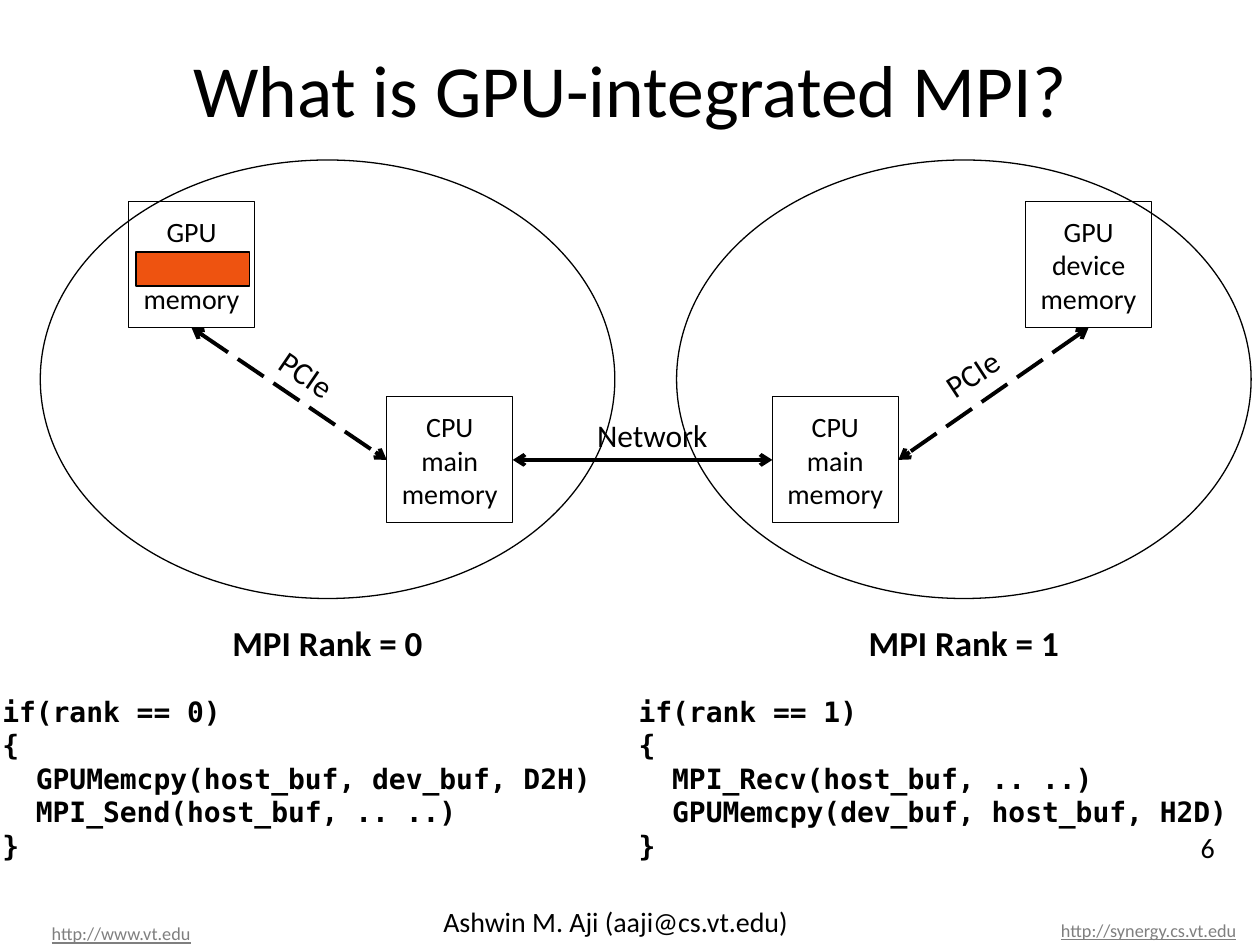
from dataclasses import dataclass

from lxml import etree
from pptx import Presentation
from pptx import util as u
from pptx.dml.color import RGBColor
from pptx.enum import dml, shapes, text
from pptx.oxml.ns import qn

TOP, LEFT, BOTTOM, RIGHT = range(4)
CENTER = text.PP_ALIGN.CENTER
MIDDLE = text.MSO_ANCHOR.MIDDLE


@dataclass(frozen=True)
class Theme:
    ink: str = "000000"
    link: str = "7F7F7F"
    buffer: str = "EE5310"
    body_font: str = "Calibri"
    code_font: str = "DejaVu Sans Mono"
    title_size: int = 42
    rank_size: int = 20
    label_size: int = 18
    body_size: int = 16
    outline: float = 0.75
    arrow: float = 2.25


class SlideBuilder:
    def __init__(self, slide, theme):
        self.slide = slide
        self.theme = theme

    def add_lines(self, shape, lines, size, font=None, color=None, bold=False, align=None):
        """Fill a shape with one paragraph per line and return the runs."""
        frame = shape.text_frame
        runs = []
        for index, line in enumerate(lines):
            paragraph = frame.add_paragraph() if index else frame.paragraphs[0]
            paragraph.alignment = align
            run = paragraph.add_run()
            run.text = line
            run.font.name = font or self.theme.body_font
            run.font.size = u.Pt(size)
            run.font.bold = bold
            run.font.color.rgb = RGBColor.from_string(color or self.theme.ink)
            runs.append(run)
        return runs

    def label(self, lines, at, size, wrap=True, rotation=0, **style):
        box = self.slide.shapes.add_textbox(*map(u.Inches, at))
        box.rotation = rotation
        box.text_frame.word_wrap = wrap
        return box, self.add_lines(box, lines, size, **style)

    def link(self, address, at):
        box, runs = self.label([address], at, self.theme.label_size, color=self.theme.link)
        frame = box.text_frame
        frame.margin_left = frame.margin_right = frame.margin_top = frame.margin_bottom = 0
        frame.vertical_anchor = MIDDLE
        for run in runs:
            run.font.underline = True
            run._r.get_or_add_rPr().set("baseline", "-25000")

    def outline(self, kind, at, fill=None):
        shape = self.slide.shapes.add_shape(kind, *map(u.Inches, at))
        shape.shadow.inherit = False
        if fill:
            shape.fill.solid()
            shape.fill.fore_color.rgb = RGBColor.from_string(fill)
        else:
            shape.fill.background()
        shape.line.color.rgb = RGBColor.from_string(self.theme.ink)
        shape.line.width = u.Pt(self.theme.outline)
        return shape

    def memory(self, lines, left, top):
        shape = self.outline(shapes.MSO_SHAPE.RECTANGLE, (left, top, 1, 1))
        shape.text_frame.word_wrap = True
        shape.text_frame.vertical_anchor = MIDDLE
        self.add_lines(shape, lines, self.theme.body_size, align=CENTER)
        return shape

    def double_arrow(self, start, start_side, end, end_side, dashed=False):
        connector = self.slide.shapes.add_connector(shapes.MSO_CONNECTOR.STRAIGHT, 0, 0, 0, 0)
        connector.begin_connect(start, start_side)
        connector.end_connect(end, end_side)
        line = connector.line
        line.color.rgb = RGBColor.from_string(self.theme.ink)
        line.width = u.Pt(self.theme.arrow)
        if dashed:
            line.dash_style = dml.MSO_LINE.LONG_DASH
        properties = connector._element.spPr
        for tag in ("a:headEnd", "a:tailEnd"):
            etree.SubElement(properties.find(qn("a:ln")), qn(tag), type="arrow")
        etree.SubElement(properties, qn("a:effectLst"))


def main():
    theme = Theme()
    presentation = Presentation()
    presentation.slide_width, presentation.slide_height = u.Inches(10), u.Inches(7.5)
    slide = presentation.slides.add_slide(presentation.slide_layouts[6])
    build = SlideBuilder(slide, theme)

    # Footer links and title
    build.link("http://www.vt.edu", (0.41, 7.15, 1.23, 0.35))
    build.link("http://synergy.cs.vt.edu", (8.42, 7.1, 2.75, 0.4))
    build.label(["What is GPU-integrated MPI?"], (0.5, 0.3, 9, 1.25), theme.title_size, align=CENTER)

    # Memories of both ranks
    gpus = [build.memory(["GPU", "device memory"], left, 1.6) for left in (1.02, 8.14)]
    cpus = [build.memory(["CPU", "main memory"], left, 3.15) for left in (3.07, 6.13)]

    # Links between memories
    for gpu, cpu, side in zip(gpus, cpus, (LEFT, RIGHT)):
        build.double_arrow(gpu, BOTTOM, cpu, side, dashed=True)
    build.double_arrow(cpus[1], LEFT, cpus[0], RIGHT)
    for name, at, rotation in (
        ("PCIe", (2.11, 2.77, 0.66, 0.4), 34.4),
        ("PCIe", (7.39, 2.76, 0.66, 0.4), 326.7),
        ("Network", (4.64, 3.25, 1.09, 0.4), 0),
    ):
        build.label([name], at, theme.label_size, wrap=False, rotation=rotation)

    # Rank ellipses, captions and code
    programs = (
        ["GPUMemcpy(host_buf, dev_buf, D2H)", "MPI_Send(host_buf, .. ..)"],
        ["MPI_Recv(host_buf, .. ..)", "GPUMemcpy(dev_buf, host_buf, H2D)"],
    )
    for rank, calls in enumerate(programs):
        shift = rank * 5.05
        build.outline(shapes.MSO_SHAPE.OVAL, (0.32 + shift, 1.27, 4.56, 3.48))
        build.label([f"MPI Rank = {rank}"], (1.63 + shift, 4.88, 1.94, 0.44),
                    theme.rank_size, wrap=False, bold=True, align=CENTER)
        code = [f"if(rank == {rank})", "{", *("  " + call for call in calls), "}"]
        build.label(code, (-0.08 + shift, 5.46, 5.26, 1.45), theme.body_size,
                    font=theme.code_font, bold=True)

    # Buffer in the first GPU
    build.outline(shapes.MSO_SHAPE.RECTANGLE, (1.08, 2, 0.9, 0.27), theme.buffer)

    # Author and slide number
    build.label(["Ashwin M. Aji (aaji@cs.vt.edu)"], (3.42, 7.13, 3.17, 0.2), theme.body_size)
    build.label(["6"], (9.43, 6.54, 0.57, 0.2), theme.body_size)

    presentation.save("out.pptx")


if __name__ == "__main__":
    main()
